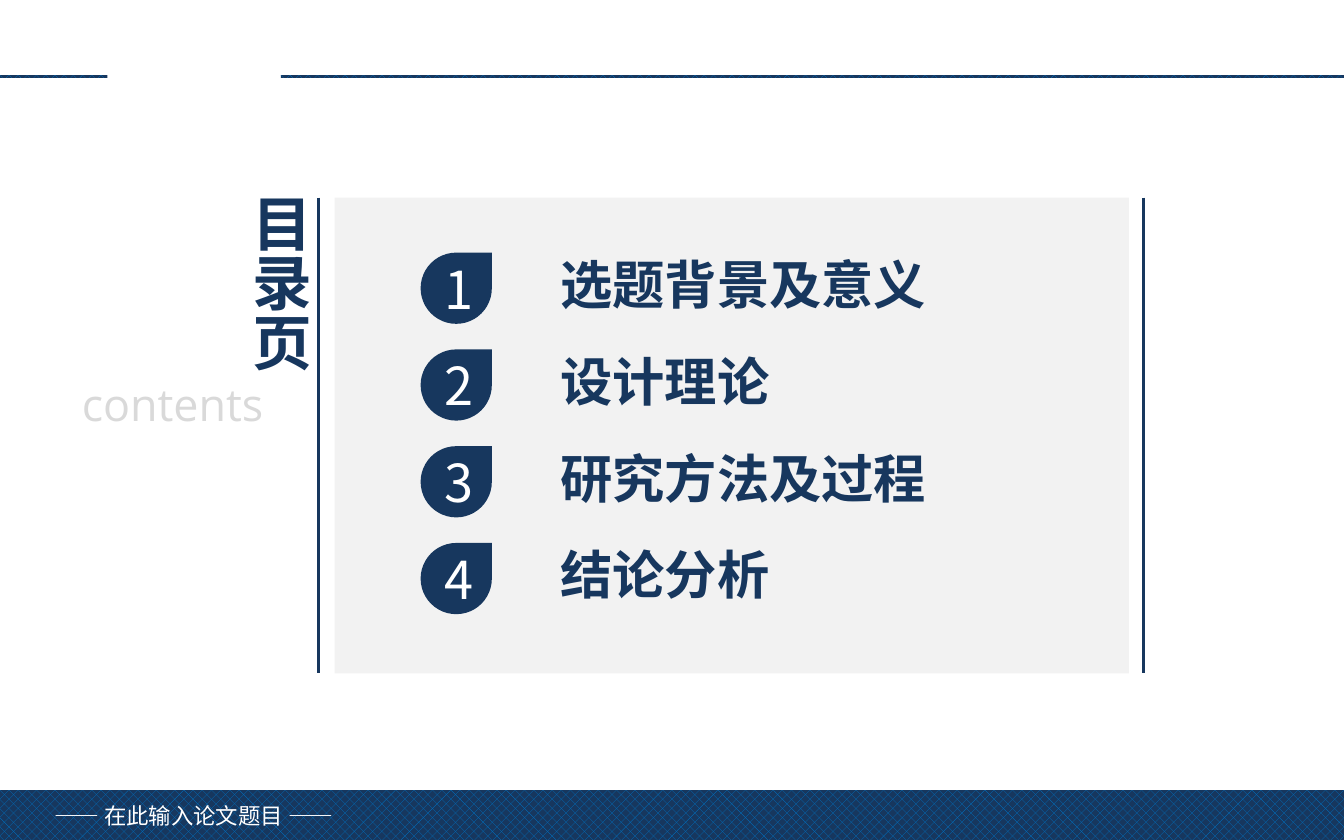
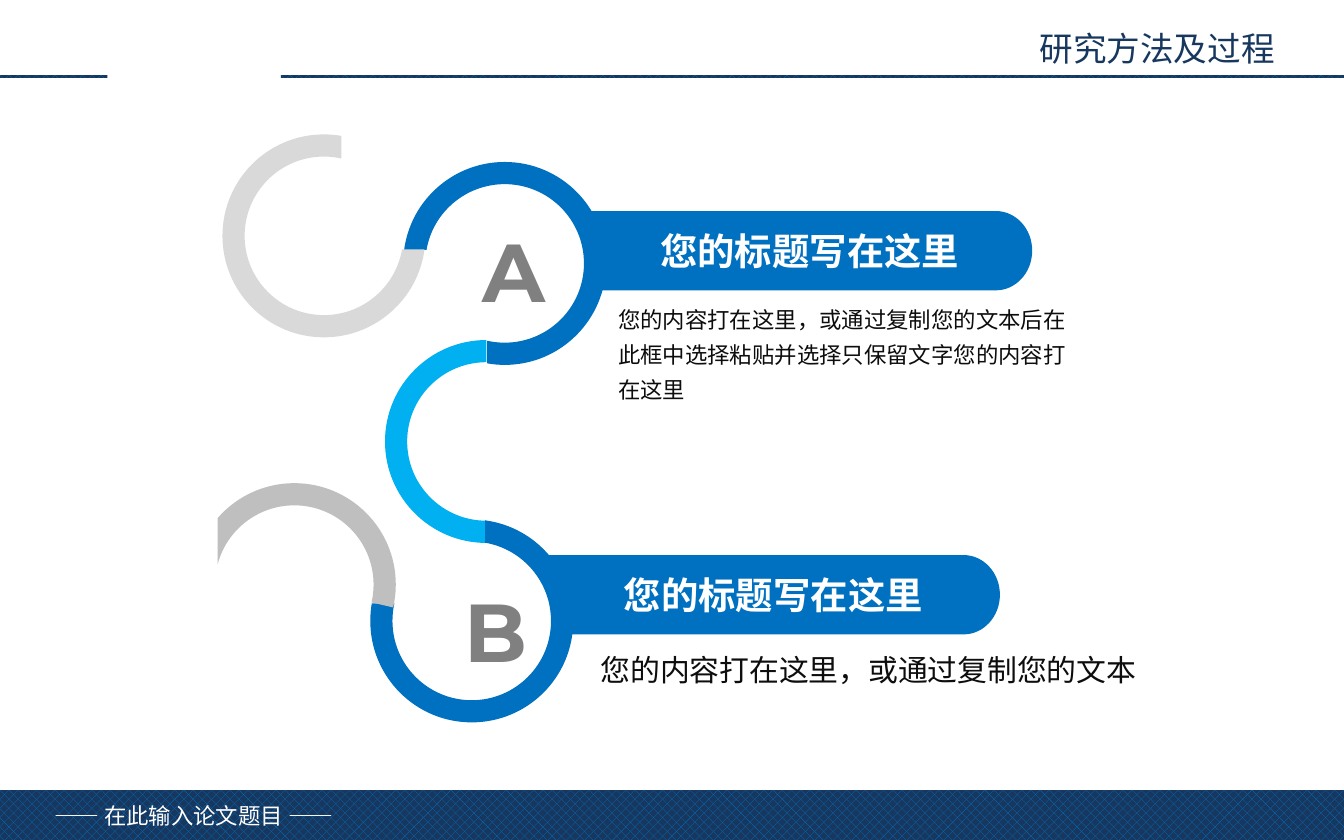
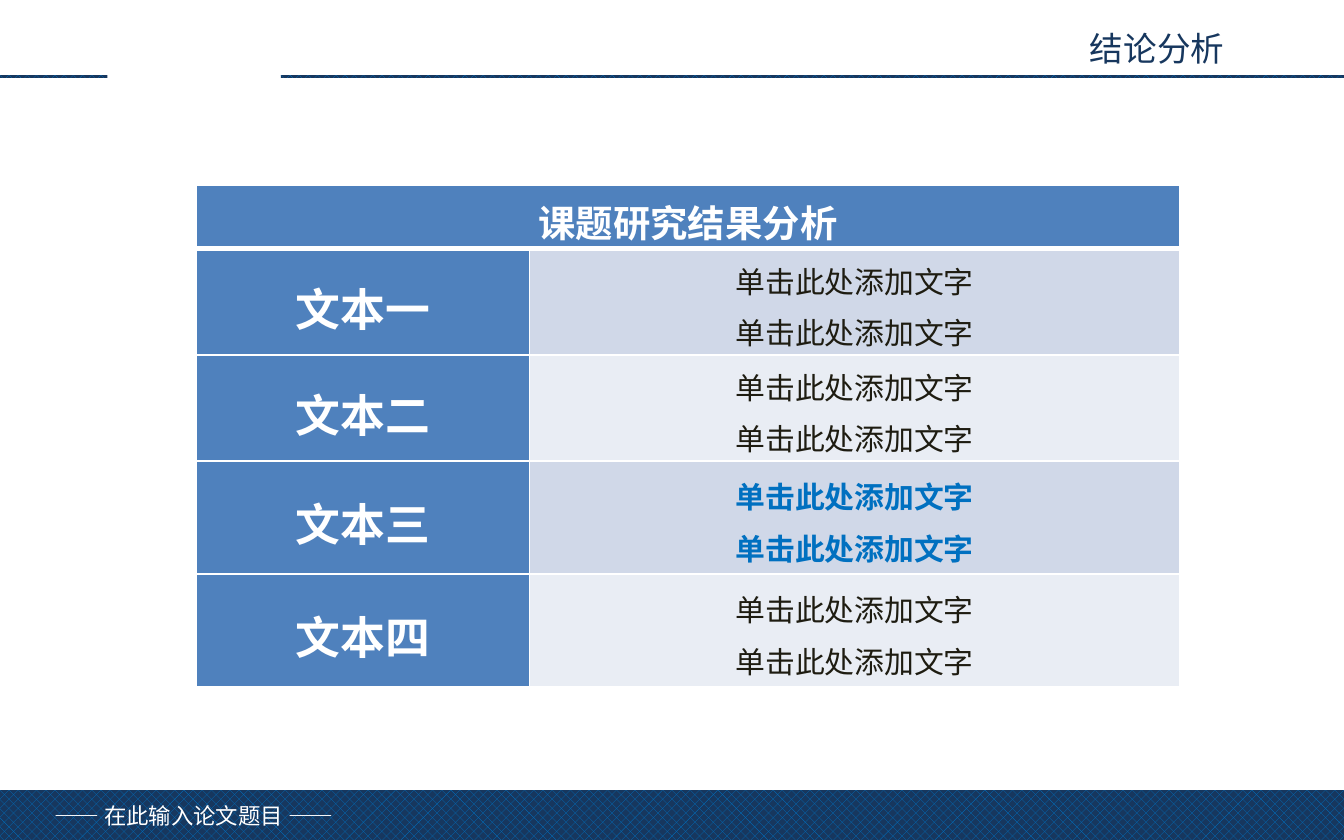
from dataclasses import dataclass
from math import asin, cos, degrees, floor, radians, sin, tan

from lxml.etree import SubElement
from pptx import Presentation
from pptx.dml.color import RGBColor
from pptx.enum.dml import MSO_PATTERN_TYPE
from pptx.enum.shapes import MSO_CONNECTOR, MSO_SHAPE
from pptx.enum.text import MSO_ANCHOR, MSO_AUTO_SIZE, PP_ALIGN
from pptx.oxml.ns import qn
from pptx.util import Inches, Pt


@dataclass(frozen=True)
class Theme:
    # Colours
    navy: str = "17375E"
    blue: str = "0070C0"
    cyan: str = "00B0F0"
    white: str = "FFFFFF"
    panel: str = "F2F2F2"
    pale_gray: str = "D9D9D9"
    mid_gray: str = "BFBFBF"
    letter_gray: str = "808080"
    ink: str = "0D0D0D"
    table_ink: str = "1E1C11"
    table_head: str = "4F81BD"
    table_bands: tuple = ("D0D8E8", "E9EDF4")
    # Fonts and type sizes
    font: str = "Noto Sans CJK SC"
    latin_font: str = "Open Sans"
    letter_font: str = "Montserrat"
    small: int = 12
    body: int = 16
    title: int = 18
    heading: int = 20
    label: int = 24
    agenda: int = 28
    cover: int = 32
    letter: int = 44


THEME = Theme()
RING_OUTER, RING_INNER = 0.755, 0.59


def write_text(frame, text, *, size, color=THEME.ink, font=THEME.font, bold=False,
               align=PP_ALIGN.LEFT, line_spacing=1.0, space_after=0):
    """Write one string, or a list with one string per paragraph."""
    lines = [text] if isinstance(text, str) else text
    for index, line in enumerate(lines):
        paragraph = frame.add_paragraph() if index else frame.paragraphs[0]
        paragraph.alignment = align
        paragraph.line_spacing = line_spacing
        paragraph.space_before = Pt(0)
        paragraph.space_after = Pt(space_after)
        run = paragraph.add_run()
        run.text = line
        run.font.size = Pt(size)
        run.font.bold = bold
        run.font.color.rgb = RGBColor.from_string(color)
        run.font.name = font
        SubElement(run._r.get_or_add_rPr(), qn("a:ea"), typeface=font)


def arc(center, radius_x, radius_y, start, end):
    """Start point and cubic segments, cut at each quadrant; degrees run clockwise."""
    low, high = sorted((start, end))
    cuts = [90 * turn for turn in range(floor(low / 90) + 1, floor(high / 90) + 1)
            if 90 * turn < high]
    angles = [low, *cuts, high]
    if start > end:
        angles.reverse()

    def point(angle, pull=0.0):
        c, s = cos(radians(angle)), sin(radians(angle))
        return center[0] + radius_x * (c - pull * s), center[1] + radius_y * (s + pull * c)

    segments = []
    for first, last in zip(angles, angles[1:]):
        pull = 4 / 3 * tan(radians(last - first) / 4)
        segments.append([point(first, pull), point(last, -pull), point(last)])
    return point(start), segments


class Deck:
    def __init__(self, theme):
        self.theme = theme
        self.presentation = Presentation()
        self.presentation.slide_width = Inches(10)
        self.presentation.slide_height = Inches(6.25)
        self.slide = None

    def new_slide(self, layout_name):
        layout = self.presentation.slide_layouts.get_by_name(layout_name)
        self.slide = self.presentation.slides.add_slide(layout)

    def place(self, shape, box):
        shape.left, shape.top, shape.width, shape.height = map(Inches, box)

    def paint(self, shape, color):
        shape.shadow.inherit = False
        shape.line.fill.background()
        shape.fill.solid()
        shape.fill.fore_color.rgb = RGBColor.from_string(color)

    def frame(self, shape, wrap=True, anchor=MSO_ANCHOR.TOP, auto_size=MSO_AUTO_SIZE.NONE):
        frame = shape.text_frame
        frame.word_wrap = wrap
        frame.vertical_anchor = anchor
        frame.auto_size = auto_size
        return frame

    def shape(self, kind, box, color):
        shape = self.slide.shapes.add_shape(kind, *map(Inches, box))
        self.paint(shape, color)
        return shape

    def text(self, box, text, wrap=True, **text_format):
        shape = self.slide.shapes.add_textbox(*map(Inches, box))
        frame = self.frame(shape, wrap, auto_size=MSO_AUTO_SIZE.SHAPE_TO_FIT_TEXT)
        write_text(frame, text, **text_format)
        return shape

    def title(self, text):
        shape = self.slide.shapes.title
        self.place(shape, (7.47, 0.16, 2.28, 0.4))
        write_text(self.frame(shape), text, size=self.theme.title,
                   color=self.theme.navy, align=PP_ALIGN.CENTER)

    def vertical_title(self, box, text):
        shape = self.slide.shapes.title
        self.place(shape, box)
        frame = self.frame(shape, wrap=False, auto_size=MSO_AUTO_SIZE.SHAPE_TO_FIT_TEXT)
        shape.element.txBody.bodyPr.set("vert", "eaVert")
        write_text(frame, text, size=self.theme.cover, color=self.theme.navy, bold=True)

    def plain_list(self, box, items, **text_format):
        shape = self.slide.placeholders[1]
        self.place(shape, box)
        frame = self.frame(shape)
        write_text(frame, items, **text_format)
        for paragraph in frame.paragraphs:
            properties = paragraph._p.get_or_add_pPr()
            properties.set("marL", "0")
            properties.set("indent", "0")
            SubElement(properties, qn("a:buNone"))

    def vertical_line(self, x, top, bottom):
        line = self.slide.shapes.add_connector(
            MSO_CONNECTOR.STRAIGHT, Inches(x), Inches(top), Inches(x), Inches(bottom))
        line.line.color.rgb = RGBColor.from_string(self.theme.navy)
        line.line.width = Pt(1.5)
        SubElement(line.element.spPr, qn("a:effectLst"))

    def badge(self, box, number):
        shape = self.shape(MSO_SHAPE.TEAR, box, self.theme.navy)
        write_text(self.frame(shape, anchor=MSO_ANCHOR.MIDDLE), str(number),
                   size=self.theme.agenda, color=self.theme.white, align=PP_ALIGN.CENTER)

    def outline(self, start, segments, color):
        """Closed outline; a segment is one point (line) or three (cubic curve)."""
        points = [(Inches(x), Inches(y)) for segment in segments for x, y in segment]
        builder = self.slide.shapes.build_freeform(Inches(start[0]), Inches(start[1]))
        builder.add_line_segments(points, close=True)
        shape = builder.convert_to_shape()
        # Join the control points of each curve
        outline = next(shape.element.iter(qn("a:path")))
        close = outline.find(qn("a:close"))
        lines = iter(outline.findall(qn("a:lnTo")))
        for segment in segments:
            parts = [next(lines) for _ in segment]
            if len(parts) == 1:
                outline.append(parts[0])
                continue
            curve = SubElement(outline, qn("a:cubicBezTo"))
            for part in parts:
                curve.append(part[0])
                outline.remove(part)
        outline.append(close)
        self.paint(shape, color)
        return shape

    def ring(self, center, start, end, color):
        """Open ring; each end is (angle, offset of the cut from that radius)."""
        def angles(radius):
            return [angle + degrees(asin(offset / radius)) for angle, offset in (start, end)]

        first, outer = arc(center, RING_OUTER, RING_OUTER, *angles(RING_OUTER))
        turn, inner = arc(center, RING_INNER, RING_INNER, *reversed(angles(RING_INNER)))
        self.outline(first, [*outer, [turn], *inner], color)

    def heading_bar(self, left, top, right, text, skew=0):
        height, cap = 0.59, 0.27
        corner, end_cap = arc((right - cap, top + height / 2), cap, height / 2, -90, 90)
        shape = self.outline((left, top), [[corner], *end_cap, [(left + skew, top + height)]],
                             self.theme.blue)
        write_text(self.frame(shape, anchor=MSO_ANCHOR.MIDDLE), text, size=self.theme.heading,
                   color=self.theme.white, bold=True, align=PP_ALIGN.CENTER)

    def cell(self, cell, text, fill, bottom_width=1, **text_format):
        cell.margin_left = cell.margin_right = Inches(0.07)
        cell.margin_top = cell.margin_bottom = 0
        cell.vertical_anchor = MSO_ANCHOR.MIDDLE
        properties = cell._tc.get_or_add_tcPr()
        for side in "LRTB":
            width = bottom_width if side == "B" else 1
            border = SubElement(properties, qn(f"a:ln{side}"), w=str(Pt(width)))
            solid = SubElement(border, qn("a:solidFill"))
            SubElement(solid, qn("a:srgbClr"), val=self.theme.white)
        cell.fill.solid()
        cell.fill.fore_color.rgb = RGBColor.from_string(fill)
        if text:
            write_text(cell.text_frame, text, align=PP_ALIGN.CENTER, **text_format)

    def table(self, box, widths, heights, heading, rows, highlighted):
        theme = self.theme
        table = self.slide.shapes.add_table(len(heights), len(widths), *map(Inches, box)).table
        for column, width in zip(table.columns, widths):
            column.width = Inches(width)
        for row, height in zip(table.rows, heights):
            row.height = Inches(height)
        # Heading across all columns
        head = dict(color=theme.white, bold=True, line_spacing=1.15)
        for column, text in enumerate((heading, "")):
            self.cell(table.cell(0, column), text, theme.table_head, bottom_width=3,
                      size=theme.heading, **head)
        table.cell(0, 0).merge(table.cell(0, len(widths) - 1))
        # Label and content rows
        for index, (label, lines) in enumerate(rows):
            strong = index == highlighted
            self.cell(table.cell(index + 1, 0), label, theme.table_head,
                      size=theme.label, **head)
            self.cell(table.cell(index + 1, 1), lines, theme.table_bands[index % 2],
                      size=theme.body, color=theme.blue if strong else theme.table_ink,
                      bold=strong, line_spacing=1.2)

    def master_furniture(self):
        """Draw the bands and the footer, then move them to the slide master."""
        parts = []
        for box in ((2.09, 0.56, 7.91, 0.02), (0, 5.88, 10, 0.37), (0, 0.56, 0.8, 0.02)):
            band = self.shape(MSO_SHAPE.RECTANGLE, box, self.theme.navy)
            band.fill.patterned()
            band.fill.pattern = MSO_PATTERN_TYPE.PERCENT_50
            band.fill.fore_color.rgb = RGBColor.from_string(self.theme.blue)
            band.fill.back_color.rgb = RGBColor.from_string(self.theme.navy)
            parts.append(band)
        parts.append(self.text((0.25, 5.92, 2.42, 0.3), "—— 在此输入论文题目 —— ", wrap=False,
                               size=self.theme.small, color=self.theme.white,
                               align=PP_ALIGN.CENTER))
        for number, part in enumerate(parts, 101):
            part.element.nvSpPr.cNvPr.set("id", str(number))
            self.presentation.slide_master.shapes.element.append(part.element)


deck = Deck(THEME)

# Slide 1: contents
deck.new_slide("Title and Content")
deck.master_furniture()
deck.vertical_title((1.71, 1.39, 0.74, 1.45), "目录页")
panel_top, panel_height = 1.47, 3.54
for x in (2.37, 8.51):
    deck.vertical_line(x, panel_top, panel_top + panel_height)
panel = deck.shape(MSO_SHAPE.RECTANGLE, (2.49, panel_top, 5.91, panel_height), THEME.panel)
# The panel lies behind the placeholders
deck.slide.shapes.element.insert(2, panel.element)
deck.text((0.51, 2.75, 1.85, 0.51), "contents", wrap=False, size=THEME.label,
          color=THEME.pale_gray, font=THEME.latin_font)
chapters = ["选题背景及意义", "设计理论", "研究方法及过程", "结论分析"]
for index in range(len(chapters)):
    deck.badge((3.13, 1.88 + 0.72 * index, 0.53, 0.53), index + 1)
deck.plain_list((4.07, 1.83, 3.78, 2.72), chapters, size=THEME.agenda,
                color=THEME.navy, bold=True, space_after=18.1)

# Slide 2: chain of rings with two headings
deck.new_slide("Title Only")
deck.title(chapters[2])
deck.ring((3.755, 1.96), (180, 0.1), (450, 0.13), THEME.blue)
deck.ring((3.62, 3.285), (90, 0), (270, 0), THEME.cyan)
deck.ring((3.51, 4.62), (270, 0.1), (540, 0.13), THEME.blue)
deck.ring((2.41, 1.755), (0, 0.1), (270, 0.13), THEME.pale_gray)
deck.ring((2.19, 4.35), (270, -0.57), (373, 0), THEME.mid_gray)
deck.heading_bar(4.37, 1.57, 7.68, "您的标题写在这里")
deck.heading_bar(4.07, 4.13, 7.44, "您的标题写在这里", skew=0.06)
for letter, left, top in (("A", 3.49, 1.59), ("B", 3.36, 4.27)):
    deck.text((left, top, 0.55, 0.84), letter, size=THEME.letter,
              color=THEME.letter_gray, font=THEME.letter_font, bold=True)
deck.text((4.5, 2.17, 3.69, 0.88),
          "您的内容打在这里，或通过复制您的文本后在此框中选择粘贴并选择只保留文字您的内容打在这里",
          size=THEME.small, line_spacing=1.3)
deck.text((4.37, 4.72, 4.36, 0.42), "您的内容打在这里，或通过复制您的文本",
          size=THEME.body, line_spacing=1.3)

# Slide 3: results table
deck.new_slide("Title Only")
deck.title(chapters[3])
deck.table((1.46, 1.38, 7.32, 3.73), widths=(2.48, 4.84),
           heights=(0.47, 0.79, 0.79, 0.84, 0.84), heading="课题研究结果分析",
           rows=[(f"文本{numeral}", ["单击此处添加文字"] * 2) for numeral in "一二三四"],
           highlighted=2)

deck.presentation.save("out.pptx")
